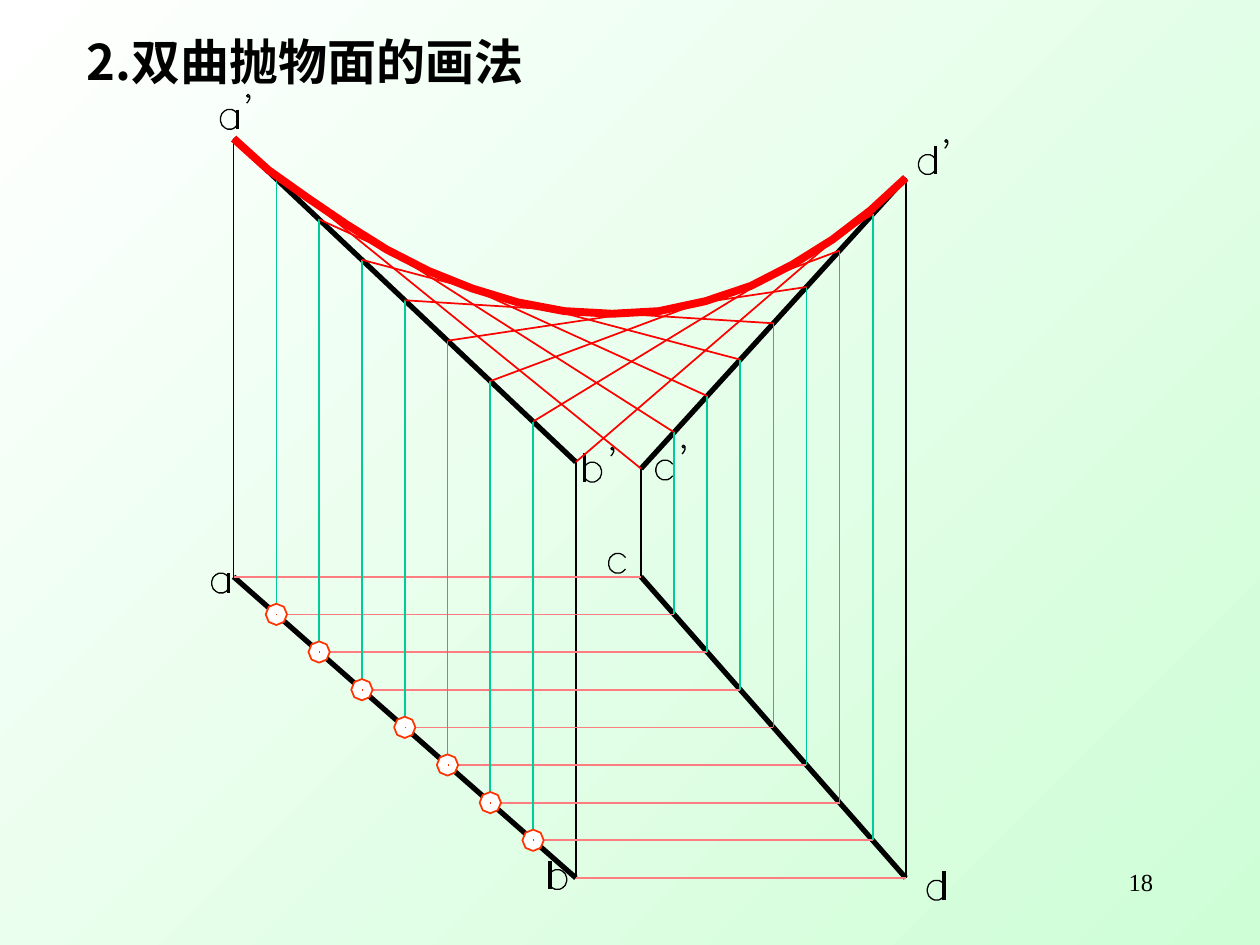
from dataclasses import dataclass
from math import cos, pi, sin

from lxml.etree import SubElement
from pptx import Presentation
from pptx.dml.color import RGBColor as RGB
from pptx.enum.shapes import MSO_CONNECTOR as Connector
from pptx.enum.text import MSO_ANCHOR as Anchor, PP_ALIGN as Align
from pptx.oxml.ns import qn
from pptx.util import Pt


@dataclass(frozen=True)
class Theme:
    ink: RGB = RGB(0, 0, 0)
    level: RGB = RGB(0xFF, 0x7C, 0x80)
    projector: RGB = RGB(0, 0xCC, 0x99)
    ruling: RGB = RGB(0xFF, 0, 0)
    marker: RGB = RGB(0xFF, 0x33, 0)
    paper: RGB = RGB(0xFF, 0xFF, 0xFF)
    mint: RGB = RGB(0xCE, 0xFE, 0xD6)
    title_font: str = "Noto Sans CJK SC"
    number_font: str = "Times New Roman"
    title_size: int = 28
    number_size: int = 14


class Drawing:
    """Draws on one slide; strokes go into the current group, if one is open."""

    def __init__(self, slide, theme):
        self.slide, self.theme = slide, theme
        self.shapes = slide.shapes

    def open_group(self):
        self.shapes = self.slide.shapes.add_group_shape().shapes

    def close_group(self):
        self.shapes = self.slide.shapes

    def background(self):
        fill = self.slide.background.fill
        fill.gradient()
        fill.gradient_angle = 135
        for stop, color in zip(fill.gradient_stops, (self.theme.mint, self.theme.paper)):
            stop.color.rgb = color

    def text(self, shape, box, words, font_name, size, align, bold=False):
        shape.left, shape.top, shape.width, shape.height = map(Pt, box)
        frame = shape.text_frame
        frame.word_wrap = True
        frame.text = words
        paragraph = frame.paragraphs[0]
        paragraph.alignment = align
        font = paragraph.font
        font.name, font.size, font.bold = font_name, Pt(size), bold
        font.color.rgb = self.theme.ink
        properties = paragraph._p.pPr.find(qn("a:defRPr"))
        SubElement(properties, qn("a:ea")).set("typeface", font_name)
        return frame

    def title(self, box, words):
        frame = self.text(self.slide.shapes.title, box, words, self.theme.title_font,
                          self.theme.title_size, Align.LEFT, bold=True)
        frame.vertical_anchor = Anchor.MIDDLE

    def page_number(self, box, words):
        shape = self.slide.shapes.add_textbox(0, 0, 0, 0)
        self.text(shape, box, words, self.theme.number_font,
                  self.theme.number_size, Align.RIGHT)

    def line(self, start, end, color, width=1):
        line = self.shapes.add_connector(Connector.STRAIGHT, *map(Pt, (*start, *end)))
        line.line.color.rgb = color
        line.line.width = Pt(width)
        SubElement(line._element.spPr, qn("a:effectLst"))

    def outline(self, points, color, width, fill=None):
        """Draw a path through points; it is closed only when it has a fill."""
        corners = [(Pt(x), Pt(y)) for x, y in points]
        builder = self.shapes.build_freeform(*corners[0])
        builder.add_line_segments(corners[1:], close=fill is not None)
        shape = builder.convert_to_shape()
        shape.shadow.inherit = False
        shape.line.color.rgb = color
        shape.line.width = Pt(width)
        if fill is None:
            shape.fill.background()
        else:
            shape.fill.solid()
            shape.fill.fore_color.rgb = fill

    def letter(self, name, left, top, primed):
        """Draw a thin stroke letter; left and top are those of its bowl."""
        ink = self.theme.ink
        bowl = [(BOWL_WIDTH - x if name == "b" else x, y) for x, y in BOWL]
        self.outline(moved(bowl, left, top), ink, 0)
        if name in STEMS:
            x, rise = STEMS[name]
            self.line((left + x, top - rise), (left + x, top + BOWL_HEIGHT), ink, 0)
        if primed:
            self.outline(moved(PRIME, left + 15, top - 8.6), ink, 0)

    def marker(self, center):
        radius = 6.1
        x, y = center
        octagon = [(radius * cos(i * pi / 4), radius * sin(i * pi / 4)) for i in range(8)]
        self.outline(moved(octagon, x, y), self.theme.marker, 1, self.theme.paper)
        self.line(center, (x + 0.4, y), self.theme.marker)


def moved(points, dx, dy):
    return [(x + dx, y + dy) for x, y in points]


def divide(start, end):
    """Return the points that split a segment into DIVISIONS equal parts."""
    return [tuple(p + (q - p) * i / DIVISIONS for p, q in zip(start, end))
            for i in range(DIVISIONS + 1)]


DIVISIONS = 8
BOWL_WIDTH, BOWL_HEIGHT = 9.6, 11.2
BOWL = [(9.6, 2.3), (8.1, 0.8), (6.5, 0), (4, 0), (2.4, 0.8), (0.8, 2.3), (0, 4.6),
        (0, 6.6), (0.8, 8.9), (2.4, 10.4), (4, 11.2), (6.5, 11.2), (8.1, 10.4), (9.6, 8.9)]
PRIME = [(1.7, 0.8), (0.8, 1.6), (0, 0.8), (0.8, 0), (1.7, 0.8), (1.7, 2.4), (0.8, 4.1), (0, 5)]
STEMS = {"a": (BOWL_WIDTH, 0), "b": (0, 5.2), "d": (BOWL_WIDTH, 5.2)}

# Plan view points and, above them, the front view points
A, B, C, D = (133.5, 329.6), (329.1, 501.7), (366.3, 329.6), (517.6, 501.7)
A_FRONT, B_FRONT, C_FRONT, D_FRONT = (133.5, 79.2), (329.1, 264), (366.3, 267.8), (517.6, 101.7)

LETTERS = [("a", 126, 62.6, True), ("b", 334.1, 264.2, True), ("c", 374.8, 263, True),
           ("d", 524.9, 88.4, True), ("a", 121, 327.6, False), ("b", 314.2, 497, False),
           ("c", 347.8, 316.3, False), ("d", 529.9, 503.1, False)]
ENVELOPE = [A_FRONT, (153.4, 97.2), (175.7, 113), (198, 128.2), (221, 142.6), (244.8, 154.8),
            (270, 164.9), (295.9, 172.8), (322.6, 177.8), (349.9, 179.3), (376.6, 177.8),
            (403.2, 172.1), (429.1, 163.4), (452.9, 151.2), (475.9, 136.8), (497.5, 120.2),
            D_FRONT]


def main():
    presentation = Presentation()
    presentation.slide_width, presentation.slide_height = Pt(720), Pt(540)
    theme = Theme()
    drawing = Drawing(presentation.slides.add_slide(presentation.slide_layouts[5]), theme)
    drawing.background()
    drawing.title((42.5, 13.7, 612, 41.8), "2.双曲抛物面的画法")

    left_plan, right_plan = divide(A, B), divide(C, D)
    left_front, right_front = divide(A_FRONT, B_FRONT), divide(C_FRONT, D_FRONT)

    drawing.open_group()
    for start, end in ((A_FRONT, B_FRONT), (C_FRONT, D_FRONT), (A, B), (C, D)):
        drawing.line(start, end, theme.ink, 3)
    for start, end in ((A, A_FRONT), (B, B_FRONT), (C, C_FRONT), (D, D_FRONT)):
        drawing.line(start, end, theme.ink)
    for letter in LETTERS:
        drawing.letter(*letter)

    drawing.open_group()
    for start, end in zip(left_plan, right_plan):
        drawing.line(start, end, theme.level)

    for plan, front in ((left_plan, left_front), (right_plan, right_front)):
        drawing.open_group()
        for start, end in zip(plan[1:-1], front[1:-1]):
            drawing.line(start, end, theme.projector)

    drawing.open_group()
    for start, end in zip(left_front, right_front):
        drawing.line(start, end, theme.ruling)

    drawing.close_group()
    drawing.outline(ENVELOPE, theme.ruling, 4.5)

    drawing.open_group()
    for center in left_plan[1:-1]:
        drawing.marker(center)

    drawing.page_number((516.2, 491.8, 149.8, 36), "18")
    presentation.save("out.pptx")


if __name__ == "__main__":
    main()
